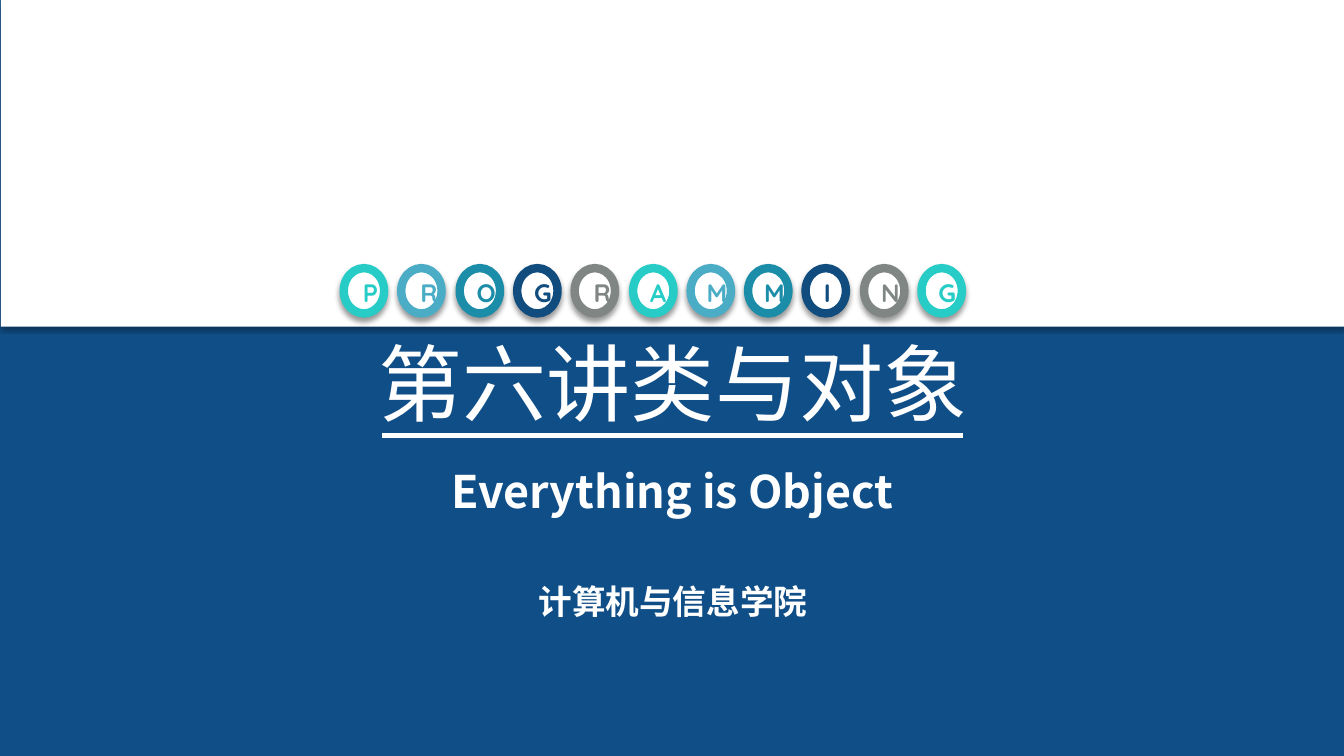
from itertools import cycle
from lxml.etree import SubElement
from pptx import Presentation
from pptx.dml.color import RGBColor
from pptx.enum.shapes import MSO_CONNECTOR, MSO_SHAPE
from pptx.enum.text import MSO_AUTO_SIZE, PP_ALIGN
from pptx.oxml.ns import qn
from pptx.util import Emu, Pt

PX = 9144  # 100 px to the inch
THEME = {
    "background": "104E87",
    "white": "FFFFFF",
    "rings": ["26CCC5", "4BACC6", "1B8DA8", "104D7E", "808684"],
    "heading_font": "Noto Sans CJK JP",
    "body_font": "Quicksand",
    "title": 60, "subtitle": 32, "school": 24, "letter": 18,
}


def add_text(shapes, text, box, size, font, color, bold=True, wrap=True):
    shape = shapes.add_textbox(*[Emu(value * PX) for value in box])
    frame = shape.text_frame
    frame.word_wrap = wrap
    frame.auto_size = MSO_AUTO_SIZE.SHAPE_TO_FIT_TEXT
    paragraph = frame.paragraphs[0]
    paragraph.alignment = PP_ALIGN.CENTER
    run = paragraph.add_run()
    run.text = text
    run.font.size = Pt(size)
    run.font.bold = bold
    run.font.name = font
    run.font.color.rgb = RGBColor.from_string(color)
    east_asian = SubElement(run.font._element, qn("a:ea"))
    east_asian.set("typeface", font)
    return paragraph


def add_shadowed(shapes, kind, box, blur, distance, opacity):
    shape = shapes.add_shape(kind, *[Emu(value * PX) for value in box])
    shape.fill.solid()
    shape.fill.fore_color.rgb = RGBColor.from_string(THEME["white"])
    shape.line.fill.background()
    effects = SubElement(shape._element.spPr, qn("a:effectLst"))
    shadow = SubElement(effects, qn("a:outerShdw"), blurRad=str(Pt(blur)),
                        dist=str(Pt(distance)), dir="5400000", algn="t", rotWithShape="0")
    black = SubElement(shadow, qn("a:srgbClr"), val="000000")
    SubElement(black, qn("a:alpha"), val=str(opacity * 1000))
    return shape


presentation = Presentation()
presentation.slide_width = Emu(1333 * PX)
presentation.slide_height = Emu(750 * PX)
slide = presentation.slides.add_slide(presentation.slide_layouts[6])
slide.background.fill.solid()
slide.background.fill.fore_color.rgb = RGBColor.from_string(THEME["background"])

# White upper band and title
add_shadowed(slide.shapes, MSO_SHAPE.RECTANGLE, (1, 0, 1333, 324), 3.1, 1.8, 35)
add_text(slide.shapes, "第六讲类与对象", (1, 324, 1333, 111), THEME["title"],
         THEME["heading_font"], THEME["white"], bold=False)

# Row of lettered rings
LETTER_WIDTHS = {"P": 22, "R": 22, "O": 26, "G": 26, "A": 25, "M": 27, "I": 17, "N": 25}
RING_LEFT, RING_TOP, RING_WIDTH, RING_HEIGHT, RING_PITCH = 341, 266, 40, 45, 57.3
for index, (letter, color) in enumerate(zip("PROGRAMMING", cycle(THEME["rings"]))):
    group = slide.shapes.add_group_shape()
    left = round(RING_LEFT + index * RING_PITCH)
    ring = add_shadowed(group.shapes, MSO_SHAPE.OVAL,
                        (left, RING_TOP, RING_WIDTH, RING_HEIGHT), 4, 3, 40)
    ring.line.color.rgb = RGBColor.from_string(color)
    ring.line.width = Pt(6)
    width = LETTER_WIDTHS[letter]
    add_text(group.shapes, letter, (left + (RING_WIDTH - width) // 2, 270, width, 28),
             THEME["letter"], THEME["body_font"], color, wrap=False)

# School name
school = add_text(slide.shapes, "计算机与信息学院", (1, 576, 1333, 46), THEME["school"],
                  THEME["body_font"], THEME["white"])
school.line_spacing = 0.9

# Rule under the title
rule = slide.shapes.add_connector(
    MSO_CONNECTOR.STRAIGHT, *[Emu(value * PX) for value in (379, 432, 955, 432)])
rule.line.color.rgb = RGBColor.from_string(THEME["white"])
rule.line.width = Pt(3)
SubElement(rule._element.spPr, qn("a:effectLst"))

# Subtitle
add_text(slide.shapes, "Everything is Object", (0, 455, 1334, 64), THEME["subtitle"],
         THEME["heading_font"], THEME["white"])

presentation.save("out.pptx")
